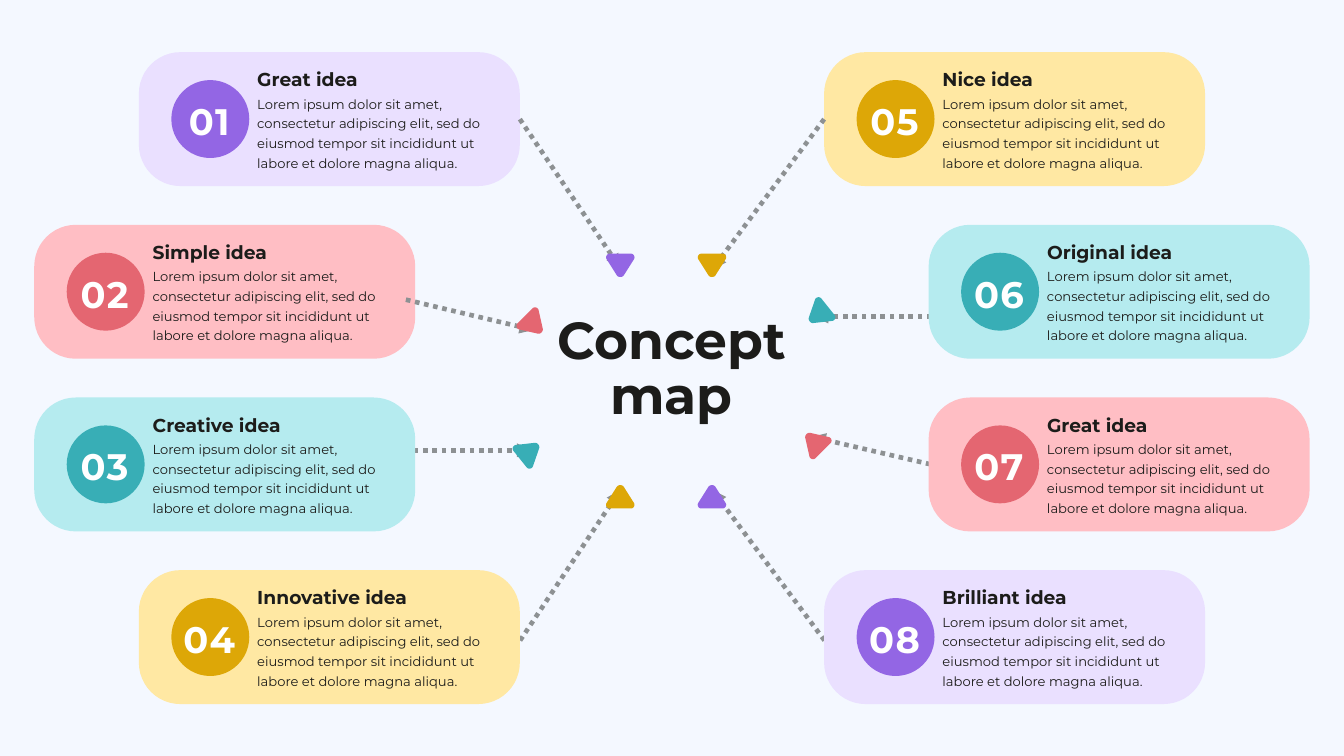
from dataclasses import dataclass
from math import dist
from typing import Optional

from lxml import etree
from pptx import Presentation
from pptx.dml.color import RGBColor
from pptx.enum.dml import MSO_LINE
from pptx.enum.shapes import MSO_CONNECTOR, MSO_SHAPE
from pptx.enum.text import MSO_AUTO_SIZE, PP_ALIGN
from pptx.oxml.ns import qn
from pptx.util import Pt

ROUNDED, OVAL = MSO_SHAPE.ROUNDED_RECTANGLE, MSO_SHAPE.OVAL
STRAIGHT = MSO_CONNECTOR.STRAIGHT
DOTTED = MSO_LINE.ROUND_DOT
LEFT, CENTER = PP_ALIGN.LEFT, PP_ALIGN.CENTER
GROW = MSO_AUTO_SIZE.SHAPE_TO_FIT_TEXT
LEFT_SIDE, RIGHT_SIDE = 1, 3

BACKGROUND, INK, WHITE, GREY = "F4F8FF", "1C1C1A", "FFFFFF", "8D9193"
LOREM = ("Lorem ipsum dolor sit amet, consectetur adipiscing elit, sed do "
         "eiusmod tempor sit incididunt ut labore et dolore magna aliqua.")

# Card grid: outer rows sit closer to the middle than inner rows
CARD_WIDTH, CARD_HEIGHT = 408.2, 143.5
FIRST_TOP, ROW_PITCH = 55.9, 185
LEFT_COLUMN, RIGHT_COLUMN = (148.8, 36.7, 36.7, 148.8), (883, 995, 995, 883)

# Triangle corners, relative to the centre of the arrow tip
TIP_CORNERS = [(0, -16.7), (18.4, 12.4), (-18.4, 12.4)]
TIP_CUT, CURVE_STEPS = 6.9, 8

Point = tuple[float, float]


@dataclass
class Tone:
    light: str
    strong: str


@dataclass
class Arrow:
    end: Point
    tip: Point
    rotation: float
    start: Optional[Point] = None  # None: joined to the card's inner side
    on_top: bool = False


@dataclass
class Idea:
    title: str
    tone: Tone
    arrow: Arrow


@dataclass
class TextStyle:
    size: float
    spacing: float
    color: str = INK
    bold: bool = True
    align: int = LEFT
    tracking: int = 0


PURPLE, PINK = Tone("EAE0FF", "9366E4"), Tone("FFBEC4", "E46671")
TEAL, YELLOW = Tone("B5EBEF", "38AEB6"), Tone("FFE8A3", "DDA707")

NUMBER = TextStyle(39.5, 55.3, WHITE, align=CENTER, tracking=160)
HEADING = TextStyle(20, 28)
BODY = TextStyle(14, 21, bold=False)
CENTRE_TITLE = TextStyle(55.7, 59, align=CENTER)

IDEAS = [
    Idea("Great idea", PURPLE, Arrow((664.6, 287.3), (664.6, 284.4), 180)),
    Idea("Simple idea", PINK,
         Arrow((571.7, 353.5), (571.3, 347.4), 135, (434.9, 321.1), True)),
    Idea("Creative idea", TEAL,
         Arrow((568.8, 482.4), (567, 484.2), 51.3, (433.4, 482.4))),
    Idea("Innovative idea", YELLOW,
         Arrow((664.6, 524.9), (664.6, 532.4), 0, (557.3, 686.2))),
    Idea("Nice idea", YELLOW, Arrow((763.2, 288.7), (762.8, 284.4), 180)),
    Idea("Original idea", TEAL,
         Arrow((872.6, 339.1), (877.3, 336.6), 231.3, (1008, 339.1))),
    Idea("Great idea", PINK,
         Arrow((869.8, 468), (873, 474.1), 315, (1006.6, 499.7))),
    Idea("Brilliant idea", PURPLE,
         Arrow((763.2, 524.9), (762.8, 532.4), 0, (883.4, 686.2))),
]


def color(hex_value: str) -> RGBColor:
    return RGBColor.from_string(hex_value)


def paint(shape, hex_value: str) -> None:
    shape.shadow.inherit = False
    shape.fill.solid()
    shape.fill.fore_color.rgb = color(hex_value)
    shape.line.fill.background()


def add_filled(page, kind, left: float, top: float, width: float,
               height: float, hex_value: str):
    shape = page.shapes.add_shape(kind, Pt(left), Pt(top), Pt(width), Pt(height))
    paint(shape, hex_value)
    return shape


def add_text(page, text: str, left: float, top: float, width: float,
             height: float, style: TextStyle) -> None:
    box = page.shapes.add_textbox(Pt(left), Pt(top), Pt(width), Pt(height))
    frame_format = {"margin_left": 0, "margin_top": 0, "margin_right": 0,
                    "margin_bottom": 0, "word_wrap": True, "auto_size": GROW}
    for name, value in frame_format.items():
        setattr(box.text_frame, name, value)
    para = box.text_frame.paragraphs[0]
    para.alignment = style.align
    para.line_spacing = Pt(style.spacing)
    span = para.add_run()
    span.text = text
    font_format = {"name": "Montserrat", "size": Pt(style.size), "bold": style.bold}
    for name, value in font_format.items():
        setattr(span.font, name, value)
    span.font.color.rgb = color(style.color)
    if style.tracking:
        span.font._element.set("spc", str(style.tracking))


def toward(origin: Point, target: Point, share: float) -> Point:
    return (origin[0] + (target[0] - origin[0]) * share,
            origin[1] + (target[1] - origin[1]) * share)


def rounded_outline(corners: list[Point], cut: float) -> list[Point]:
    """Replace each corner by a cubic curve that starts and ends at the cut."""
    outline = []
    for index, corner in enumerate(corners):
        before, after = corners[index - 1], corners[(index + 1) % len(corners)]
        enter = toward(corner, before, cut / dist(corner, before))
        leave = toward(corner, after, cut / dist(corner, after))
        controls = (enter, toward(corner, enter, 0.6), toward(corner, leave, 0.6), leave)
        for step in range(CURVE_STEPS + 1):
            t = step / CURVE_STEPS
            weights = ((1 - t) ** 3, 3 * t * (1 - t) ** 2, 3 * t * t * (1 - t), t ** 3)
            outline.append(tuple(sum(w * point[axis] for w, point in zip(weights, controls))
                                 for axis in (0, 1)))
    return outline


def add_arrow(page, arrow: Arrow, tip_color: str, card=None, side: int = 0) -> None:
    begin = arrow.start or arrow.end
    line = page.shapes.add_connector(STRAIGHT, *map(Pt, begin + arrow.end))
    if card is not None:
        line.begin_connect(card, side)
    line.line.color.rgb = color(GREY)
    line.line.width = Pt(5)
    line.line.dash_style = DOTTED
    etree.SubElement(line.line._get_or_add_ln(), qn("a:tailEnd"), type="triangle")
    etree.SubElement(line._element.spPr, qn("a:effectLst"))

    # Rounded triangle over the arrowhead
    points = [(Pt(arrow.tip[0] + x), Pt(arrow.tip[1] + y))
              for x, y in rounded_outline(TIP_CORNERS, TIP_CUT)]
    builder = page.shapes.build_freeform(*points[0])
    builder.add_line_segments(points[1:], close=True)
    tip = builder.convert_to_shape()
    tip.rotation = arrow.rotation
    paint(tip, tip_color)


def add_card(page, idea: Idea, number: int, left: float, top: float):
    card = add_filled(page, ROUNDED, left, top, CARD_WIDTH, CARD_HEIGHT, idea.tone.light)
    card.adjustments[0] = 0.31
    add_filled(page, OVAL, left + 34.8, top + 29.9, 83.5, 83.5, idea.tone.strong)
    add_text(page, f"{number:02}", left + 45.5, top + 42, 59.8, 52.6, NUMBER)
    add_text(page, idea.title, left + 126.8, top + 13.2, 240, 26, HEADING)
    add_text(page, LOREM, left + 126.8, top + 43, 260, 80, BODY)
    return card


def main() -> None:
    deck = Presentation()
    deck.slide_width, deck.slide_height = Pt(1440), Pt(810)
    page = deck.slides.add_slide(deck.slide_layouts[6])
    page.background.fill.solid()
    page.background.fill.fore_color.rgb = color(BACKGROUND)

    # Arrows that run under their cards
    for idea in IDEAS:
        if idea.arrow.start and not idea.arrow.on_top:
            add_arrow(page, idea.arrow, idea.tone.strong)

    # Cards, with the arrows that are joined to them or lie over them
    for index, (idea, left) in enumerate(zip(IDEAS, LEFT_COLUMN + RIGHT_COLUMN)):
        card = add_card(page, idea, index + 1, left, FIRST_TOP + index % 4 * ROW_PITCH)
        if idea.arrow.start is None:
            side = RIGHT_SIDE if index < 4 else LEFT_SIDE
            add_arrow(page, idea.arrow, idea.tone.strong, card, side)
        elif idea.arrow.on_top:
            add_arrow(page, idea.arrow, idea.tone.strong)

    # Centre title
    add_text(page, "Concept map", 527, 337, 385.2, 120.2, CENTRE_TITLE)
    deck.save("out.pptx")


if __name__ == "__main__":
    main()
